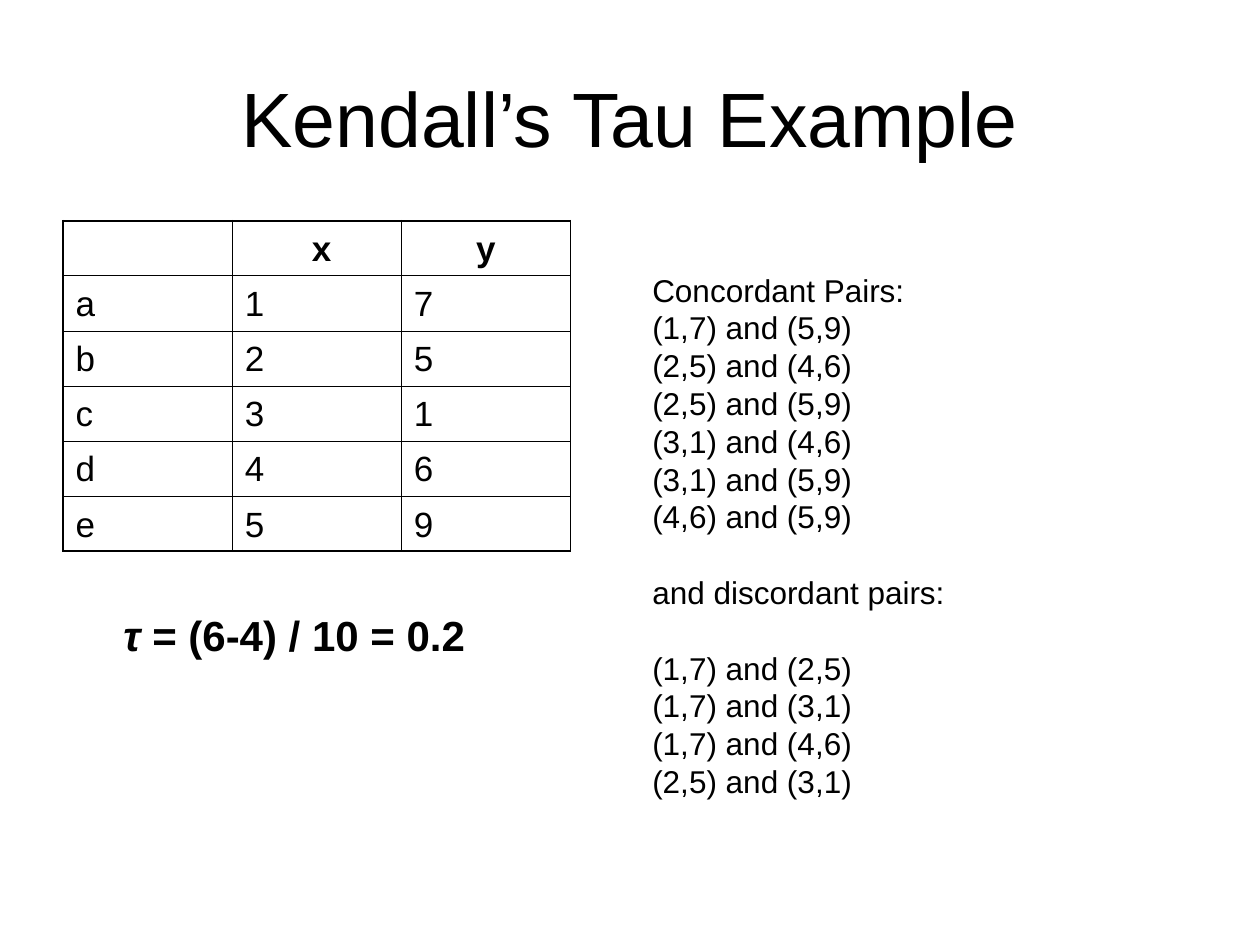
"""Build a slide showing a worked example of Kendall's tau."""
from lxml.etree import SubElement
from pptx import Presentation
from pptx.dml.color import RGBColor
from pptx.enum.text import MSO_ANCHOR as Anchor, PP_ALIGN as Align
from pptx.oxml.ns import qn
from pptx.util import Cm, Pt

COLOURS = {"ink": "000000", "paper": "FFFFFF"}
LINE_FACTOR = 1.2


def add_run(paragraph, text, size, bold=False, italic=False):
    paragraph.line_spacing = Pt(size * LINE_FACTOR)
    run = paragraph.add_run()
    run.text = text
    run.font.name = "Arial"
    run.font.size = Pt(size)
    run.font.bold = bold
    run.font.italic = italic
    run.font.color.rgb = RGBColor.from_string(COLOURS["ink"])


def add_border(cell, side, width):
    line = SubElement(cell._tc.get_or_add_tcPr(), qn(f"a:{side}"), w=str(Pt(width)))
    fill = SubElement(line, qn("a:solidFill"))
    SubElement(fill, qn("a:srgbClr"), val=COLOURS["ink"])


presentation = Presentation()
presentation.slide_width = Cm(25.4)
presentation.slide_height = Cm(19.05)
slide = presentation.slides.add_slide(presentation.slide_layouts[6])
slide.background.fill.solid()
slide.background.fill.fore_color.rgb = RGBColor.from_string(COLOURS["paper"])

title = slide.shapes.add_textbox(Cm(1.27), Cm(0.76), Cm(22.86), Cm(3.18))
title.text_frame.word_wrap = True
title.text_frame.vertical_anchor = Anchor.MIDDLE
paragraph = title.text_frame.paragraphs[0]
paragraph.alignment = Align.CENTER
add_run(paragraph, "Kendall’s Tau Example", 44)

observations = [
    ("", " x", "y"),
    ("a", "1", "7"),
    ("b", "2", "5"),
    ("c", "3", "1"),
    ("d", "4", "6"),
    ("e", "5", "9"),
]
row_count, column_count = len(observations), len(observations[0])
row_height, column_width = Cm(1.11), Cm(3.41)
table_shape = slide.shapes.add_table(
    row_count, column_count, Cm(1.27), Cm(4.45),
    column_width * column_count, row_height * row_count)
table = table_shape.table
table.first_row = False
table.horz_banding = False
for column in table.columns:
    column.width = column_width
for row_index, values in enumerate(observations):
    table.rows[row_index].height = row_height
    for column_index, value in enumerate(values):
        cell = table.cell(row_index, column_index)
        outer_sides = {
            "lnL": column_index == 0,
            "lnR": column_index == column_count - 1,
            "lnT": row_index == 0,
            "lnB": row_index == row_count - 1,
        }
        for side, is_outer in outer_sides.items():
            add_border(cell, side, 1.08 if is_outer else 0.45)
        cell.fill.background()
        if value:
            is_header = row_index == 0
            paragraph = cell.text_frame.paragraphs[0]
            paragraph.alignment = Align.CENTER if is_header else Align.LEFT
            add_run(paragraph, value, 20, bold=is_header)

pair_groups = [
    ["Concordant Pairs:", "(1,7) and (5,9)", "(2,5) and (4,6)", "(2,5) and (5,9)",
     "(3,1) and (4,6)", "(3,1) and (5,9)", "(4,6) and (5,9)"],
    ["and discordant pairs:"],
    ["(1,7) and (2,5)", "(1,7) and (3,1)", "(1,7) and (4,6)", "(2,5) and (3,1)"],
]
pairs = slide.shapes.add_textbox(Cm(12.9), Cm(5.33), Cm(8.46), Cm(10.92))
pairs.text_frame.word_wrap = True
paragraph = pairs.text_frame.paragraphs[0]
for group_index, group in enumerate(pair_groups):
    for line_index, text in enumerate(group):
        if group_index or line_index:
            paragraph = pairs.text_frame.add_paragraph()
        if group_index and line_index == 0:
            paragraph.space_before = Pt(18 * LINE_FACTOR)
        add_run(paragraph, text, 18)

result = slide.shapes.add_textbox(Cm(2.24), Cm(12.17), Cm(7.62), Cm(1.27))
result.text_frame.word_wrap = False
paragraph = result.text_frame.paragraphs[0]
add_run(paragraph, "τ", 24, bold=True, italic=True)
add_run(paragraph, " = (6-4) / 10 = 0.2", 24, bold=True)

presentation.save("out.pptx")
